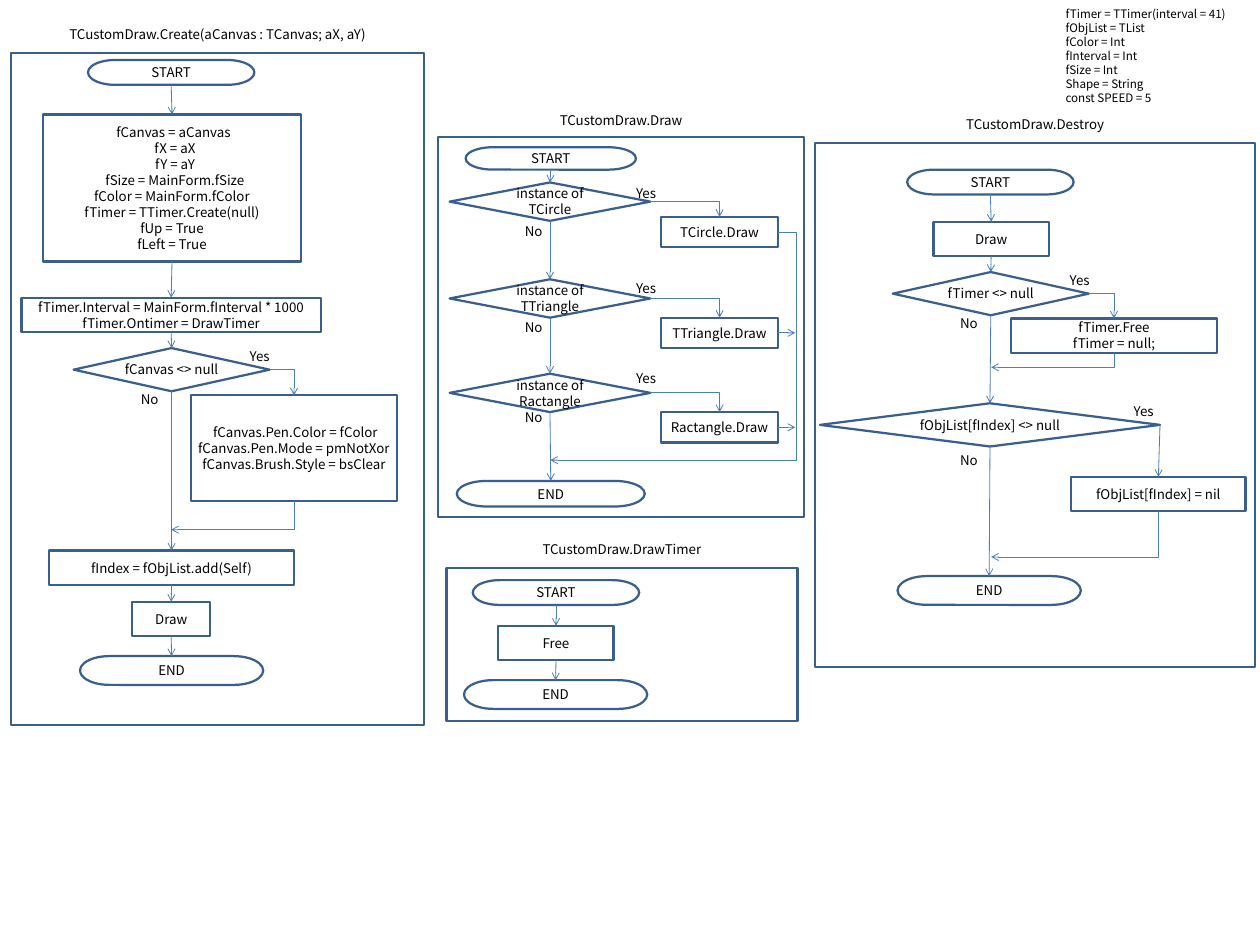
from lxml import etree
from pptx import Presentation
from pptx.dml.color import RGBColor
from pptx.enum.shapes import MSO_CONNECTOR, MSO_SHAPE
from pptx.enum.text import MSO_ANCHOR, PP_ALIGN
from pptx.oxml.ns import qn
from pptx.util import Inches, Pt

PROCESS = MSO_SHAPE.RECTANGLE
TERMINATOR = MSO_SHAPE.FLOWCHART_TERMINATOR
DECISION = MSO_SHAPE.FLOWCHART_DECISION
STRAIGHT, ELBOW = MSO_CONNECTOR.STRAIGHT, MSO_CONNECTOR.ELBOW
LEFT, CENTER = PP_ALIGN.LEFT, PP_ALIGN.CENTER
TOP, MIDDLE = MSO_ANCHOR.TOP, MSO_ANCHOR.MIDDLE
TOP_SITE, BOTTOM_SITE, RIGHT_SITE = 0, 2, 3

BORDER = RGBColor(0x3A, 0x5F, 0x8C)
ARROW = RGBColor(0x4B, 0x7E, 0xBC)
BLACK = RGBColor(0, 0, 0)
FONT = "Noto Sans CJK KR"
LINE_SPACING = 1.2
FRAME_FORMAT = {"margin_left": 0, "margin_right": 0, "margin_top": 0,
                "margin_bottom": 0, "word_wrap": True}


def apply_format(target, values):
    for name, value in values.items():
        setattr(target, name, value)


class Flowchart:
    def __init__(self, slide):
        self.shapes = slide.shapes

    def fill_text(self, shape, lines, align, anchor, size):
        frame = shape.text_frame
        apply_format(frame, {**FRAME_FORMAT, "vertical_anchor": anchor})
        for index, line in enumerate(lines):
            paragraph = frame.add_paragraph() if index else frame.paragraphs[0]
            apply_format(paragraph, {"alignment": align,
                                     "line_spacing": Pt(LINE_SPACING * size)})
            run = paragraph.add_run()
            run.text = line
            apply_format(run.font, {"name": FONT, "size": Pt(size)})
            run.font.color.rgb = BLACK

    def text(self, lines, left, top, width, height, align=LEFT, anchor=TOP, size=12):
        box = self.shapes.add_textbox(*map(Inches, (left, top, width, height)))
        self.fill_text(box, lines, align, anchor, size)

    def node(self, kind, lines, left, top, width, height):
        shape = self.shapes.add_shape(kind, *map(Inches, (left, top, width, height)))
        shape.shadow.inherit = False
        shape.fill.background()
        shape.line.color.rgb = BORDER
        shape.line.width = Pt(2)
        if lines:
            self.fill_text(shape, lines, CENTER, MIDDLE, 12)
        return shape

    def panel(self, title, left, top, width, height, title_height=0.43):
        self.node(PROCESS, [], left, top, width, height)
        self.text([title], left, top - title_height - 0.02, width, title_height,
                  CENTER, MIDDLE)

    def decision(self, text, box, yes, no):
        """Draw a diamond with its Yes and No labels at the given points."""
        for label, point in (("Yes", yes), ("No", no)):
            self.text([label], *point, 0.31, 0.2)
        return self.node(DECISION, [text], *box)

    def connector(self, kind, start, end):
        connector = self.shapes.add_connector(kind, *start, *end)
        connector.line.color.rgb = ARROW
        connector.line.width = Pt(0.75)
        properties = connector._element.spPr
        etree.SubElement(properties.find(qn("a:ln")), qn("a:tailEnd"), type="arrow")
        etree.SubElement(properties, qn("a:effectLst"))
        return connector

    def elbow(self, start, end, preset="bentConnector2", adjustments=(), down_first=False):
        """Draw a bent arrow; down_first turns it so that it leaves vertically."""
        if down_first:
            (x1, y1), (x2, y2) = start, end
            middle_x, middle_y = (x1 + x2) // 2, (y1 + y2) // 2
            half_width, half_height = abs(y2 - y1) // 2, abs(x2 - x1) // 2
            start = middle_x - half_width, middle_y - half_height
            end = middle_x + half_width, middle_y + half_height
        properties = self.connector(ELBOW, start, end)._element.spPr
        if down_first:
            properties.find(qn("a:xfrm")).set("rot", str(90 * 60000))
        geometry = properties.find(qn("a:prstGeom"))
        geometry.set("prst", preset)
        guides = geometry.find(qn("a:avLst"))
        for index, value in enumerate(adjustments, 1):
            etree.SubElement(guides, qn("a:gd"), name=f"adj{index}", fmla=f"val {value}")

    def link(self, source, target, source_site=BOTTOM_SITE):
        connector = self.connector(STRAIGHT, (0, 0), (0, 0))
        connector.begin_connect(source, source_site)
        connector.end_connect(target, TOP_SITE)

    def flow(self, *nodes):
        for source, target in zip(nodes, nodes[1:]):
            self.link(source, target)

    def branch(self, decision, action):
        self.elbow((decision.left + decision.width, decision.top + decision.height // 2),
                   (action.left + action.width // 2, action.top))

    def rejoin(self, action, x, y):
        self.elbow((action.left + action.width // 2, action.top + action.height),
                   (Inches(x), Inches(y)), down_first=True)


def draw_create(chart):
    chart.panel("TCustomDraw.Create(aCanvas : TCanvas; aX, aY)", 0.14, 0.66, 5.16, 8.4)
    start = chart.node(TERMINATOR, ["START"], 1.1, 0.75, 2.08, 0.31)
    fields = chart.node(PROCESS, [
        " fCanvas = aCanvas", "  fX = aX", "  fY = aY", "  fSize = MainForm.fSize",
        "fColor = MainForm.fColor", "fTimer = TTimer.Create(null)", "fUp = True",
        "fLeft = True"], 0.54, 1.43, 3.22, 1.84)
    timer = chart.node(PROCESS, ["fTimer.Interval = MainForm.fInterval * 1000",
                                 "fTimer.Ontimer = DrawTimer"], 0.27, 3.72, 3.74, 0.43)
    has_canvas = chart.decision("fCanvas <> null", (0.92, 4.35, 2.45, 0.54),
                                (3.12, 4.35), (1.76, 4.89))
    pen = chart.node(PROCESS, [" fCanvas.Pen.Color = fColor", "fCanvas.Pen.Mode = pmNotXor",
                               "fCanvas.Brush.Style = bsClear"], 2.39, 4.94, 2.57, 1.32)
    add = chart.node(PROCESS, ["fIndex = fObjList.add(Self)"], 0.61, 6.88, 3.07, 0.43)
    draw = chart.node(PROCESS, ["Draw"], 1.65, 7.52, 0.98, 0.43)
    end = chart.node(TERMINATOR, ["END"], 1, 8.2, 2.29, 0.36)
    chart.flow(start, fields, timer, has_canvas, add, draw, end)
    chart.branch(has_canvas, pen)
    chart.rejoin(pen, 2.14, 6.62)


def draw_draw(chart):
    chart.panel("TCustomDraw.Draw", 5.48, 1.71, 4.57, 4.75, 0.38)
    steps = [chart.node(TERMINATOR, ["START"], 5.82, 1.84, 2.13, 0.28)]
    actions = []
    for name, top, action_top, yes_top, no_top in (
            ("TCircle", 2.28, 2.71, 2.31, 2.79),
            ("TTriangle", 3.49, 3.97, 3.5, 3.99),
            ("Ractangle", 4.67, 5.15, 4.63, 5.11)):
        check = chart.decision(f"instance of {name}", (5.62, top, 2.51, 0.48),
                               (7.95, yes_top), (6.56, no_top))
        action = chart.node(PROCESS, [f"{name}.Draw"], 8.26, action_top, 1.47, 0.38)
        chart.branch(check, action)
        steps.append(check)
        actions.append(action)
    steps.append(chart.node(TERMINATOR, ["END"], 5.71, 6.01, 2.35, 0.32))
    chart.flow(*steps)
    exits = [(action.left + action.width, action.top + action.height // 2)
             for action in actions]
    chart.elbow(exits[0], (Inches(6.88), Inches(5.75)), "bentConnector4", (-8070, 100000))
    for x, y in exits[1:]:
        chart.connector(STRAIGHT, (x, y), (Inches(9.94), y))


def draw_timer(chart):
    chart.panel("TCustomDraw.DrawTimer", 5.58, 7.1, 4.39, 1.91)
    chart.flow(chart.node(TERMINATOR, ["START"], 5.91, 7.25, 2.08, 0.31),
               chart.node(PROCESS, ["Free"], 6.23, 7.82, 1.44, 0.43),
               chart.node(TERMINATOR, ["END"], 5.8, 8.5, 2.29, 0.36))


def draw_destroy(chart):
    chart.panel("TCustomDraw.Destroy", 10.19, 1.79, 5.5, 6.55)
    start = chart.node(TERMINATOR, ["START"], 11.34, 2.12, 2.08, 0.31)
    draw = chart.node(PROCESS, ["Draw"], 11.67, 2.77, 1.44, 0.43)
    has_timer = chart.decision("fTimer <> null", (11.16, 3.4, 2.45, 0.54),
                               (13.37, 3.4), (12, 3.94))
    free = chart.node(PROCESS, ["fTimer.Free", "fTimer = null;"], 12.64, 3.98, 2.57, 0.43)
    has_object = chart.decision("fObjList[fIndex] <> null", (10.25, 5.04, 4.25, 0.54),
                                (14.17, 5.04), (12, 5.65))
    clear = chart.node(PROCESS, ["fObjList[fIndex] = nil"], 13.39, 5.96, 2.18, 0.43)
    end = chart.node(TERMINATOR, ["END"], 11.22, 7.2, 2.29, 0.36)
    chart.flow(start, draw, has_timer, has_object, end)
    chart.branch(has_timer, free)
    chart.link(has_object, clear, RIGHT_SITE)
    chart.rejoin(free, 12.39, 4.59)
    chart.rejoin(clear, 12.39, 6.96)


def main():
    presentation = Presentation()
    presentation.slide_width, presentation.slide_height = Inches(15.75), Inches(11.81)
    blank_layout = presentation.slide_layouts[6]
    chart = Flowchart(presentation.slides.add_slide(blank_layout))
    chart.text(["fTimer = TTimer(interval = 41)", "fObjList = TList", "fColor = Int",
                "fInterval = Int", "fSize = Int", "Shape = String", "const SPEED = 5"],
               13.32, 0.08, 2.43, 1.24, size=10.5)
    for draw_panel in (draw_create, draw_draw, draw_timer, draw_destroy):
        draw_panel(chart)
    presentation.save("out.pptx")


if __name__ == "__main__":
    main()
